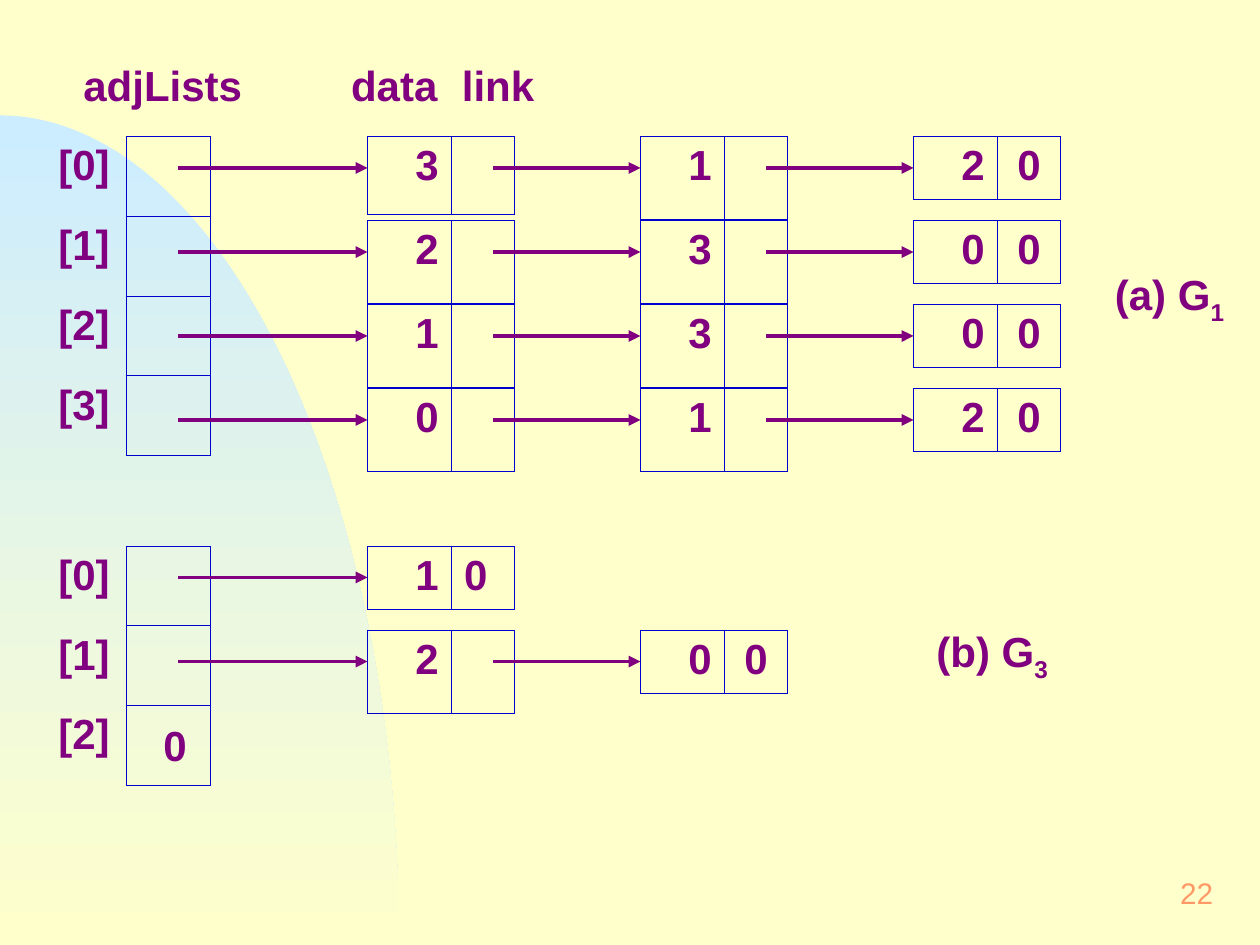
from math import cos, pi, sin

from lxml.etree import SubElement
from pptx import Presentation
from pptx.dml.color import RGBColor
from pptx.enum.shapes import MSO_CONNECTOR
from pptx.enum.text import MSO_ANCHOR, PP_ALIGN
from pptx.oxml.ns import qn
from pptx.util import Inches, Pt

CREAM, SKY = "FFFFCC", "CCECFF"
PURPLE, BLUE, ORANGE = "800080", "0000CC", "FF9966"
NO_STYLE = "{2D5ABB26-0587-4C30-8999-92F81FD0307C}"
ALL_SIDES = ("L", "R", "T", "B")
INDEX_COLUMN, SLOT_END, FIRST_NODE, NODE_STEP = 4, 17, 35, 26
ROW_STEP, ARROW_DROP = 8, 3


def grid(count):
    return Inches(count / 12)


def color(value):
    return RGBColor.from_string(value)


def write(para, text, size=24, bold=True, fill=PURPLE, align=PP_ALIGN.LEFT, subscript=False):
    para.alignment = align
    span = para.add_run()
    span.text = text
    span.font.name = "Arial"
    span.font.size = Pt(size)
    span.font.bold = bold
    span.font.color.rgb = color(fill)
    if subscript:
        span.font._element.set("baseline", "-25000")


def add_box(page, left, top, width, height, margins=(0.12, 0.06)):
    box = page.shapes.add_textbox(grid(left), grid(top), grid(width), grid(height))
    frame = box.text_frame
    frame.word_wrap = True
    frame.margin_left = frame.margin_right = Inches(margins[0])
    frame.margin_top = frame.margin_bottom = Inches(margins[1])
    return frame


def add_graph_name(page, left, top, width, text, number):
    para = add_box(page, left, top, width, 6.7, (0.1, 0.05)).paragraphs[0]
    write(para, text)
    write(para, number, subscript=True)


def add_curve(page, deck):
    bottom, radius_x, radius_y = deck.slide_height, grid(38), grid(79)
    steps = 90
    points = [
        (int(radius_x * sin(angle)), int(bottom - radius_y * cos(angle)))
        for angle in (pi / 2 * step / steps for step in range(steps + 1))
    ]
    builder = page.shapes.build_freeform(*points[0])
    builder.add_line_segments(points[1:] + [(0, bottom)], close=True)
    curve = builder.convert_to_shape()
    curve.shadow.inherit = False
    curve.line.fill.background()
    curve.fill.gradient()
    curve.fill.gradient_angle = 270
    for stop, shade in zip(curve.fill.gradient_stops, (SKY, CREAM)):
        stop.color.rgb = color(shade)


def add_arrow(page, start, end, height):
    arrow = page.shapes.add_connector(
        MSO_CONNECTOR.STRAIGHT, grid(start), grid(height), grid(end), grid(height)
    )
    arrow.line.color.rgb = color(PURPLE)
    arrow.line.width = Pt(2.25)
    SubElement(arrow.line._get_or_add_ln(), qn("a:tailEnd"), type="triangle")
    SubElement(arrow._element.spPr, qn("a:effectLst"))


def add_borders(cell, sides):
    properties = cell._tc.get_or_add_tcPr()
    for side in sides:
        line = SubElement(properties, qn(f"a:ln{side}"), w=str(Pt(0.45)))
        fill = SubElement(line, qn("a:solidFill"))
        SubElement(fill, qn("a:srgbClr"), val=BLUE)
    cell.fill.background()


def add_table(page, left, top, widths, row_height, row_count):
    table = page.shapes.add_table(
        row_count, len(widths), grid(left), grid(top), grid(sum(widths)), grid(row_height * row_count)
    ).table
    table.first_row = table.horz_banding = False
    table._tbl.tblPr.find(qn("a:tableStyleId")).text = NO_STYLE
    for column, width in zip(table.columns, widths):
        column.width = grid(width)
    for row in table.rows:
        row.height = grid(row_height)
    return table


def set_empty_size(cell, size):
    SubElement(cell.text_frame.paragraphs[0]._p, qn("a:endParaRPr"), sz=str(int(size * 100)))


def add_node(page, left, top, data, link, link_align, empty_size):
    data_cell, link_cell = add_table(page, left, top, (8, 6), 6, 1).rows[0].cells
    for cell in (data_cell, link_cell):
        add_borders(cell, ALL_SIDES)
    data_cell.margin_left, data_cell.margin_right = Inches(0.38), Inches(0.05)
    write(data_cell.text_frame.paragraphs[0], data)
    if link:
        write(link_cell.text_frame.paragraphs[0], link, align=link_align)
    else:
        set_empty_size(link_cell, empty_size)


def add_index(page, top, lists):
    table = add_table(page, INDEX_COLUMN, top, (8, 8), 7.6, len(lists))
    for number, nodes in enumerate(lists):
        label, slot = table.rows[number].cells
        add_borders(label, "R")
        add_borders(slot, ALL_SIDES)
        write(label.text_frame.paragraphs[0], f"[{number}]", align=PP_ALIGN.CENTER)
        if nodes:
            set_empty_size(slot, 24)
        else:
            slot.margin_left, slot.margin_top = Inches(0.21), Inches(0.14)
            write(slot.text_frame.paragraphs[0], "0", align=PP_ALIGN.CENTER)


def add_graph(page, top, lists, first_link_align=PP_ALIGN.CENTER, first_empty_size=33.5):
    add_index(page, top, lists)
    for row, nodes in enumerate(lists):
        height = top + row * ROW_STEP
        start = SLOT_END
        for position, data in enumerate(nodes):
            left = FIRST_NODE + position * NODE_STEP
            link = "0" if position == len(nodes) - 1 else ""
            is_first = row == position == 0
            link_align = first_link_align if is_first else PP_ALIGN.CENTER
            add_node(page, left, height, data, link, link_align, first_empty_size if is_first else 33.5)
            add_arrow(page, start, left, height + ARROW_DROP)
            start = left + 12


def add_headings(page):
    write(add_box(page, 3, 5, 25, 6.2).paragraphs[0], "adjLists", align=PP_ALIGN.CENTER)
    para = add_box(page, 32, 5, 23, 6.2).paragraphs[0]
    stops = SubElement(para._p.get_or_add_pPr(), qn("a:tabLst"))
    SubElement(stops, qn("a:tab"), pos=str(Inches(0.88)), algn="l")
    write(para, "data\tlink")


def add_page_number(page):
    frame = add_box(page, 92, 82, 25, 6)
    frame.vertical_anchor = MSO_ANCHOR.MIDDLE
    write(frame.paragraphs[0], "22", size=17, bold=False, fill=ORANGE, align=PP_ALIGN.RIGHT)


def main():
    deck = Presentation()
    deck.slide_width, deck.slide_height = grid(120), grid(90)
    page = deck.slides.add_slide(deck.slide_layouts[6])
    page.background.fill.solid()
    page.background.fill.fore_color.rgb = color(CREAM)
    add_curve(page, deck)
    add_page_number(page)
    add_headings(page)
    add_graph(page, 13, ("312", "230", "130", "012"), first_empty_size=31)
    add_graph(page, 52, ("1", "20", ""), first_link_align=PP_ALIGN.LEFT)
    add_graph_name(page, 105, 25, 13, "(a) G", "1")
    add_graph_name(page, 88, 59, 16, "(b) G", "3")
    deck.save("out.pptx")


if __name__ == "__main__":
    main()
